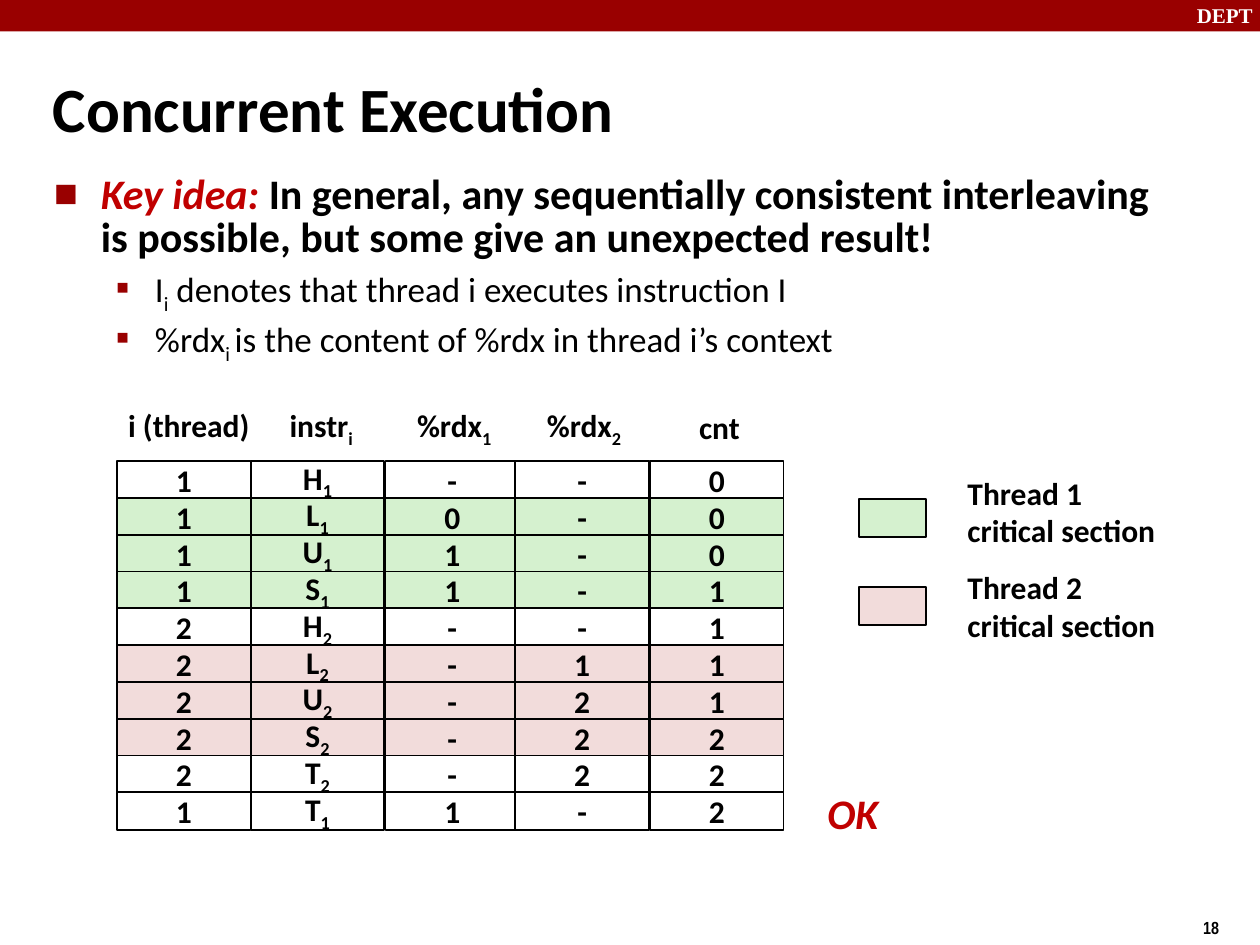
"""Build a slide that traces one interleaving of two threads."""
from dataclasses import dataclass

from lxml.etree import SubElement
from pptx import Presentation
from pptx.dml.color import RGBColor
from pptx.enum.shapes import MSO_SHAPE
from pptx.enum.text import MSO_ANCHOR, MSO_AUTO_SIZE, PP_ALIGN
from pptx.oxml.ns import qn
from pptx.util import Inches, Pt


@dataclass(frozen=True)
class Theme:
    """Colours, fonts and type sizes."""
    ink: str = "000000"
    paper: str = "FFFFFF"
    band: str = "990000"
    accent: str = "C00000"
    thread1: str = "D5F1CF"
    thread2: str = "F2DCDB"
    font: str = "Calibri"
    band_font: str = "Times New Roman"
    number_font: str = "Arial Narrow"
    title: int = 36
    lead: int = 24
    item: int = 20
    label: int = 18
    brand: int = 12
    number: int = 10


class Deck:
    """Holds the theme and current slide; places are in a 100 by 75 grid."""
    COLS, ROWS = 100, 75

    def __init__(self, prs, theme):
        """Open a title-and-content slide."""
        self.t = theme
        self.dx = prs.slide_width / self.COLS
        self.dy = prs.slide_height / self.ROWS
        self.s = prs.slides.add_slide(prs.slide_layouts[1])

    def at(self, x, y, w, h):
        """Turn grid columns and rows into lengths."""
        return [round(v * d) for v, d in zip((x, y, w, h), (self.dx, self.dy) * 2)]

    def frame(self, sp, anchor=MSO_ANCHOR.TOP, wrap=True):
        """Format a text frame and return its first paragraph."""
        tf = sp.text_frame
        fmt = {"word_wrap": wrap, "auto_size": MSO_AUTO_SIZE.NONE, "vertical_anchor": anchor}
        for name, value in fmt.items():
            setattr(tf, name, value)
        return tf.paragraphs[0]

    def runs(self, p, text, size, color=None, font=None, bold=True, italic=False):
        """Add runs to a paragraph; underscores switch subscript on and off."""
        fmt = {"size": Pt(size), "name": font or self.t.font, "bold": bold, "italic": italic}
        for i, part in enumerate(text.split("_")):
            if not part:
                continue
            r = p.add_run()
            r.text = part
            for name, value in fmt.items():
                setattr(r.font, name, value)
            r.font.color.rgb = RGBColor.from_string(color or self.t.ink)
            if i % 2:
                r._r.get_or_add_rPr().set("baseline", "-25000")

    def placeholder(self, idx, place, anchor=MSO_ANCHOR.TOP):
        """Move a template placeholder and return its shape and first paragraph."""
        sp = self.s.placeholders[idx]
        for name, value in zip(("left", "top", "width", "height"), self.at(*place)):
            setattr(sp, name, value)
        return sp, self.frame(sp, anchor)

    def title(self, text, place):
        """Fill the title placeholder."""
        p = self.placeholder(0, place, MSO_ANCHOR.MIDDLE)[1]
        p.alignment = PP_ALIGN.LEFT
        self.runs(p, text, self.t.title)

    def bullet(self, p, level, margin, hang, spacing, before, char, percent):
        """Format a paragraph as a list item."""
        fmt = {"level": level, "line_spacing": spacing, "space_before": Pt(before),
               "alignment": PP_ALIGN.LEFT}
        for name, value in fmt.items():
            setattr(p, name, value)
        pPr = p._p.get_or_add_pPr()
        pPr.set("marL", str(Inches(margin)))
        pPr.set("indent", str(-Inches(hang)))
        SubElement(SubElement(pPr, qn("a:buClr")), qn("a:srgbClr"), val=self.t.band)
        SubElement(pPr, qn("a:buSzPct"), val=str(percent * 1000))
        SubElement(pPr, qn("a:buFont"), typeface=self.t.font)
        SubElement(pPr, qn("a:buChar"), char=char)

    def body(self, key, lead, items, place):
        """Fill the body placeholder with a lead point and its sub-points."""
        sp, p = self.placeholder(1, place)
        self.bullet(p, 0, 0.38, 0.37, 0.85, 4.8, "■", 60)
        self.runs(p, key, self.t.lead, self.t.accent, italic=True)
        self.runs(p, lead, self.t.lead)
        for item in items:
            p = sp.text_frame.add_paragraph()
            self.bullet(p, 1, 0.81, 0.31, 0.9, 4, "▪", 110)
            self.runs(p, item, self.t.item, bold=False)

    def rect(self, place, fill, text="", line=True):
        """Draw a filled rectangle with optional centred text."""
        sp = self.s.shapes.add_shape(MSO_SHAPE.RECTANGLE, *self.at(*place))
        sp.shadow.inherit = False
        sp.fill.solid()
        sp.fill.fore_color.rgb = RGBColor.from_string(fill)
        if line:
            sp.line.color.rgb = RGBColor.from_string(self.t.ink)
            sp.line.width = Pt(1)
        else:
            sp.line.fill.background()
        if text:
            p = self.frame(sp, MSO_ANCHOR.MIDDLE)
            p.alignment = PP_ALIGN.CENTER
            self.runs(p, text, self.t.label)

    def text(self, text, place, size, center=False, **fmt):
        """Add a wrapped note, or a centred one-line label."""
        sp = self.s.shapes.add_textbox(*self.at(*place))
        p = self.frame(sp, MSO_ANCHOR.MIDDLE if center else MSO_ANCHOR.TOP, not center)
        p.alignment = PP_ALIGN.CENTER if center else PP_ALIGN.LEFT
        self.runs(p, text, size, **fmt)

    def trace(self, lefts, top, pitch, cell, rows, fills):
        """Draw the execution trace, one cell for each value."""
        for i, (row, fill) in enumerate(zip(rows, fills)):
            for x, value in zip(lefts, row):
                self.rect((x, top + i * pitch, *cell), fill, value)


HEADERS = [("i (thread)", 9.2, 31.7, 11.6, 4), ("instr_i", 22, 31.7, 7, 4.4),
           ("%rdx_1", 32.1, 31.7, 7.9, 4.4), ("%rdx_2", 42.4, 31.7, 7.9, 4.4),
           ("cnt", 54.5, 31.9, 5.2, 4)]
LEFTS = (9.3, 19.9, 30.6, 40.9, 51.6)
STEPS = [("1", "H_1", "-", "-", "0"),
         ("1", "L_1", "0", "-", "0"),
         ("1", "U_1", "1", "-", "0"),
         ("1", "S_1", "1", "-", "1"),
         ("2", "H_2", "-", "-", "1"),
         ("2", "L_2", "-", "1", "1"),
         ("2", "U_2", "-", "2", "1"),
         ("2", "S_2", "-", "2", "2"),
         ("2", "T_2", "-", "2", "2"),
         ("1", "T_1", "1", "-", "2")]


def main():
    """Build and save the slide."""
    prs = Presentation()
    prs.slide_width, prs.slide_height = Inches(10), Inches(7.5)
    t = Theme()
    d = Deck(prs, t)
    d.rect((0, 0, 100, 2.5), t.band, line=False)
    d.text("DEPT", (94, -0.3, 6.7, 3), t.brand, color=t.paper, font=t.band_font)
    d.text("18", (94.5, 72.3, 7.5, 2.9), t.number, font=t.number_font)
    d.title("Concurrent Execution", (3.2, 5.4, 72.3, 6.3))
    d.body("Key idea: ",
           "In general, any sequentially consistent interleaving is possible, "
           "but some give an unexpected result!",
           ["I_i_ denotes that thread i executes instruction I",
            "%rdx_i _is the content of %rdx in thread i’s context"],
           (3.2, 13.4, 90.8, 15.9))
    fills = [t.paper] + [t.thread1] * 3 + [t.paper] + [t.thread2] * 3 + [t.paper] * 2
    d.trace(LEFTS, 36.6, 2.92, (10.6, 3), STEPS, fills)
    for text, *place in HEADERS:
        d.text(text, place, t.label, center=True)
    d.text("OK", (64.7, 62, 6, 5), t.lead, center=True, color=t.accent, italic=True)
    for n, (fill, key_y, note_y) in enumerate([(t.thread1, 39.6, 37.1),
                                               (t.thread2, 46.6, 44.6)], 1):
        d.rect((68.2, key_y, 5.3, 3), fill)
        d.text(f"Thread {n} critical section", (75.8, note_y, 17.5, 7), t.label)
    prs.save("out.pptx")


if __name__ == "__main__":
    main()
